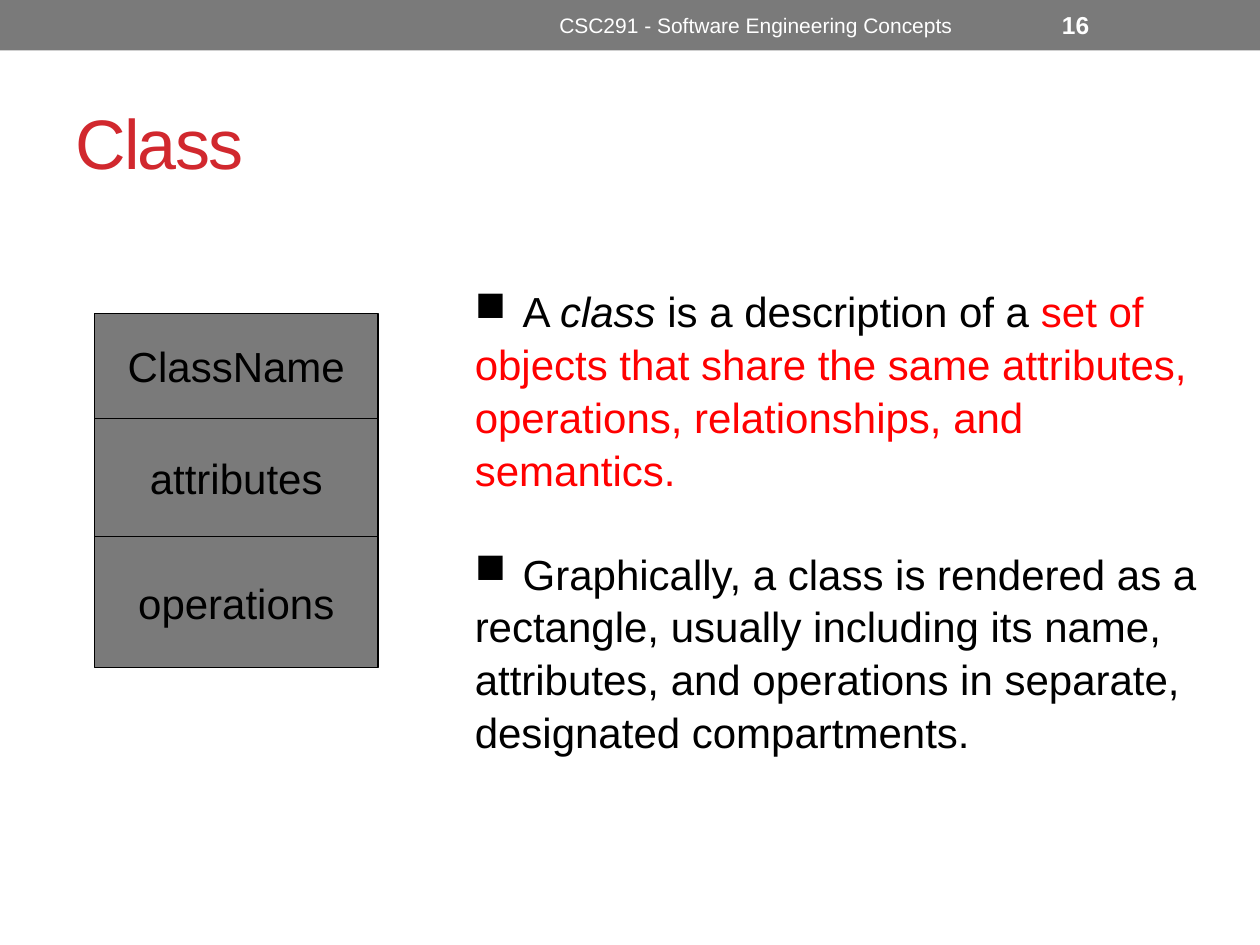
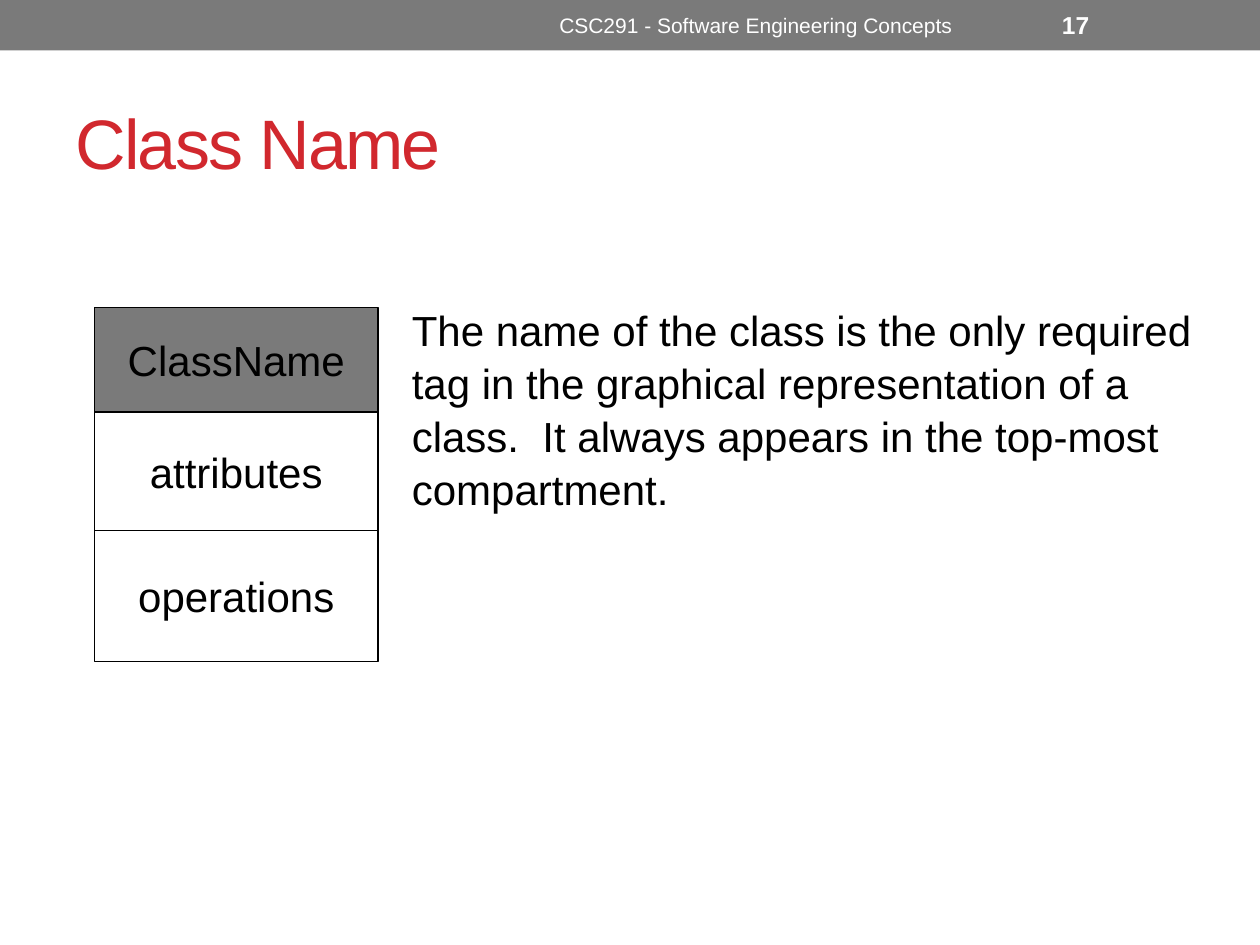
import pptx
import pptx.util
import pptx.dml.color
import pptx.enum.shapes
import pptx.enum.text
import pptx.oxml.ns
import lxml.etree

Inches, Pt = pptx.util.Inches, pptx.util.Pt
Align = pptx.enum.text.PP_ALIGN
Anchor = pptx.enum.text.MSO_ANCHOR

FONT = "Arial"
COLORS = {"band": "7A7A7A", "title": "D1282E", "ink": "000000",
          "key": "FF0000", "paper": "FFFFFF"}
COURSE = "CSC291 - Software Engineering Concepts"
PARTS = [("ClassName", 0.83), ("attributes", 0.94), ("operations", 1.04)]


def rgb(name):
    return pptx.dml.color.RGBColor.from_string(COLORS[name])


def write(shape, paras, size=24, color="ink", bold=False, align=Align.LEFT,
          anchor=Anchor.TOP, wrap=True, track=0, lead=None):
    """Fill a shape; a paragraph is a list of (text, run format) pairs."""
    frame = shape.text_frame
    frame.word_wrap = wrap
    frame.vertical_anchor = anchor
    for i, runs in enumerate(paras):
        para = frame.add_paragraph() if i else frame.paragraphs[0]
        para.alignment = align
        if lead:
            para.line_spacing = lead
        for words, form in runs:
            run = para.add_run()
            run.text = words
            font = run.font
            font.name, font.size, font.bold = FONT, Pt(size), bold
            font.italic = form.get("italic", False)
            font.color.rgb = rgb(form.get("color", color))
            if track:
                font._element.set("spc", str(track * 100))
    return frame


def add_text(slide, box, paras, **form):
    if isinstance(paras, str):
        paras = [[(paras, {})]]
    return write(slide.shapes.add_textbox(*map(Inches, box)), paras, **form)


def add_rect(slide, box, fill, line=None):
    kind = pptx.enum.shapes.MSO_SHAPE.RECTANGLE
    rect = slide.shapes.add_shape(kind, *map(Inches, box))
    rect.shadow.inherit = False
    rect.fill.solid()
    rect.fill.fore_color.rgb = rgb(fill)
    if line:
        rect.line.color.rgb = rgb(line)
        rect.line.width = Pt(0.75)
    else:
        rect.line.fill.background()
    return rect


def add_bullet(para, mark="■", indent=0.38):
    props = para._p.get_or_add_pPr()
    props.set("marL", str(Inches(indent)))
    props.set("indent", str(-Inches(indent)))
    tag = pptx.oxml.ns.qn("a:buChar")
    lxml.etree.SubElement(props, tag).set("char", mark)


def add_page(deck, title, number):
    """Add a slide with the header band and title that all slides share."""
    slide = deck.slides.add_slide(deck.slide_layouts[6])
    add_rect(slide, (0, 0, 10, 0.4), "band")
    add_text(slide, (0.5, 0.58, 9, 1.08), title, size=40, color="title",
             anchor=Anchor.MIDDLE, track=-1)
    add_text(slide, (3.75, 0.02, 4.5, 0.36), COURSE, size=12, color="paper",
             align=Align.CENTER, anchor=Anchor.MIDDLE)
    add_text(slide, (8.33, 0.02, 1.17, 0.36), str(number), size=14,
             color="paper", bold=True, anchor=Anchor.MIDDLE)
    return slide


def add_class(slide, left, top, fills, width=2.25):
    """Stack the compartments of a class box downwards from left, top."""
    for (name, height), fill in zip(PARTS, fills):
        rect = add_rect(slide, (left, top, width, height), fill, "ink")
        write(rect, [[(name, {})]], align=Align.CENTER,
              anchor=Anchor.MIDDLE, wrap=False)
        top += height


def class_slide(deck):
    slide = add_page(deck, "Class", 16)
    add_class(slide, 0.75, 2.49, ["band"] * 3)
    key = {"color": "key"}
    paras = [
        [("A ", {}), ("class", {"italic": True}),
         (" is a description of a ", {}), ("set of", key)],
        [("objects that share the same attributes,", key)],
        [("operations, relationships, and semantics.", key)],
        [("Graphically, a class is rendered as a", {})],
        [("rectangle, usually including its name,", {})],
        [("attributes, and operations in separate,", {})],
        [("designated compartments.", {})],
    ]
    frame = add_text(slide, (3.67, 2.2, 6.07, 3.74), paras, lead=1.05)
    first, second = frame.paragraphs[0], frame.paragraphs[3]
    second.space_before = Pt(29)
    add_bullet(first)
    add_bullet(second)


def name_slide(deck):
    slide = add_page(deck, "Class Name", 17)
    add_class(slide, 0.75, 2.44, ["band", "paper", "paper"])
    add_text(slide, (3.17, 2.35, 6.5, 1.72),
             "The name of the class is the only required tag in the "
             "graphical representation of a class.  It always appears in "
             "the top-most compartment.", lead=1.05)


def main():
    deck = pptx.Presentation()
    deck.slide_width, deck.slide_height = Inches(10), Inches(7.5)
    class_slide(deck)
    name_slide(deck)
    deck.save("out.pptx")


if __name__ == "__main__":
    main()
